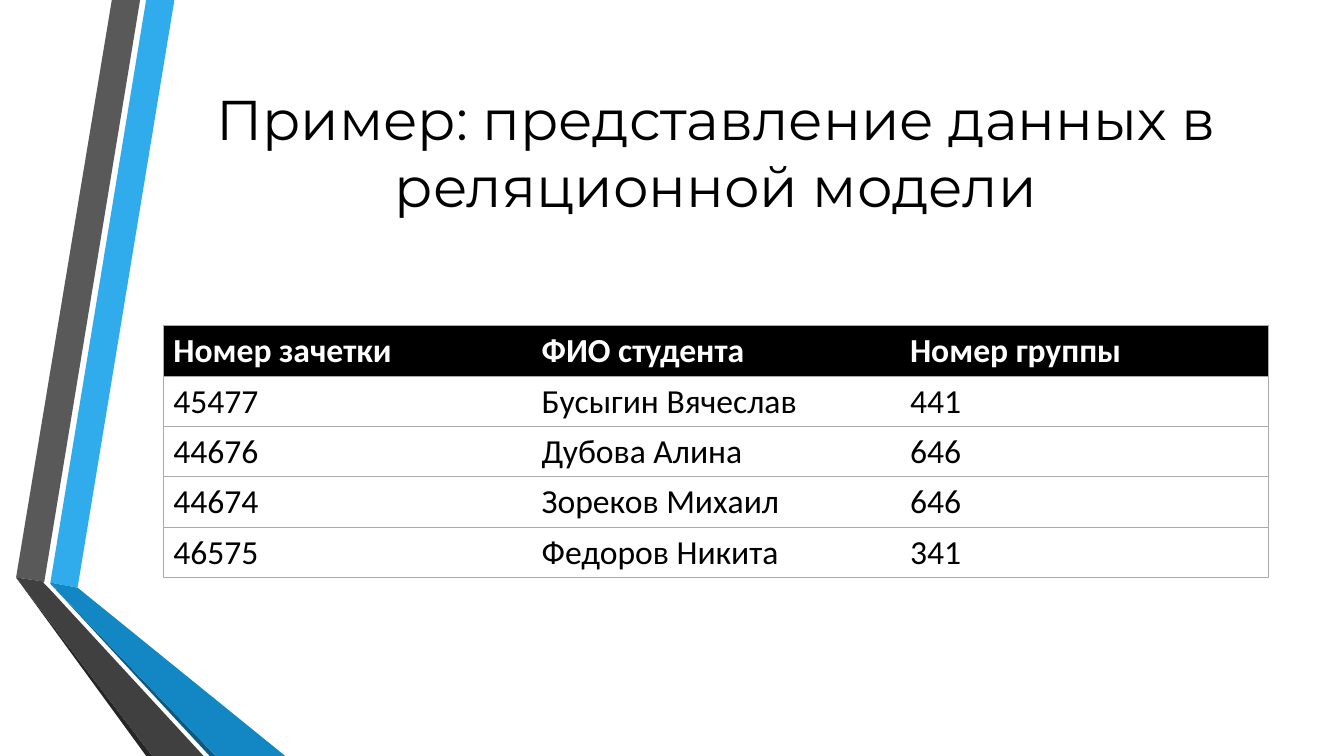
import dataclasses

import lxml.etree
import pptx
import pptx.dml.color
import pptx.enum.text
import pptx.oxml.ns
import pptx.util


@dataclasses.dataclass(frozen=True)
class Theme:
    background: str = "FFFFFF"
    text: str = "000000"
    header_fill: str = "000000"
    header_text: str = "FFFFFF"
    cell_fill: str = "FFFFFF"
    border: str = "ABABAB"
    blue: str = "30ACEC"
    blue_fold: str = "1287C3"
    blue_edge: str = "0C5A82"
    gray: str = "595959"
    gray_fold: str = "404040"
    gray_edge: str = "262626"
    title_font: str = "Montserrat"
    table_font: str = "Calibri"
    title_size: int = 40
    table_size: int = 24
    border_width: float = 0.75


@dataclasses.dataclass(frozen=True)
class Box:
    left: int
    top: int
    width: int
    height: int


THEME = Theme()
SLIDE_WIDTH = pptx.util.Inches(13.33)
SLIDE_HEIGHT = pptx.util.Inches(7.5)

RIBBON_GRID = (283, 750)
RIBBON_FACES = [
    (THEME.blue, [(50, 578), (77, 583), (173, 0), (145, 0)]),
    (THEME.gray, [(139, 0), (111, 0), (16, 573), (44, 577)]),
    (THEME.gray_edge, [(16, 573), (145, 750), (151, 750)]),
    (THEME.blue_edge, [(50, 579), (208, 750), (214, 750)]),
    (THEME.blue_fold, [(50, 579), (214, 750), (283, 750), (77, 583), (50, 578)]),
    (THEME.gray_fold, [(202, 750), (48, 583), (43, 578), (44, 577), (16, 573), (151, 750)]),
]

TITLE = "Пример: представление данных в реляционной модели"
STUDENTS = [
    ("Номер зачетки", "ФИО студента", "Номер группы"),
    ("45477", "Бусыгин Вячеслав", "441"),
    ("44676", "Дубова Алина", "646"),
    ("44674", "Зореков Михаил", "646"),
    ("46575", "Федоров Никита", "341"),
]


def percent_box(left, top, width, height):
    return Box(
        round(SLIDE_WIDTH * left / 100),
        round(SLIDE_HEIGHT * top / 100),
        round(SLIDE_WIDTH * width / 100),
        round(SLIDE_HEIGHT * height / 100),
    )


def color(value):
    return pptx.dml.color.RGBColor.from_string(value)


def format_text(paragraph, font_name, size, text_color, bold=False):
    for run in paragraph.runs:
        run.font.name = font_name
        run.font.size = pptx.util.Pt(size)
        run.font.bold = bold
        run.font.color.rgb = color(text_color)


def set_border(cell, side, visible):
    properties = cell._tc.get_or_add_tcPr()
    line = lxml.etree.SubElement(properties, pptx.oxml.ns.qn(f"a:ln{side}"))
    line.set("w", str(pptx.util.Pt(THEME.border_width)))
    if visible:
        fill = lxml.etree.SubElement(line, pptx.oxml.ns.qn("a:solidFill"))
        lxml.etree.SubElement(fill, pptx.oxml.ns.qn("a:srgbClr")).set("val", THEME.border)
    else:
        lxml.etree.SubElement(line, pptx.oxml.ns.qn("a:noFill"))


def add_ribbon(slide, box):
    columns, rows = RIBBON_GRID
    scale = (box.width / columns, box.height / rows)
    for fill_color, points in RIBBON_FACES:
        builder = slide.shapes.build_freeform(*points[0], scale=scale)
        builder.add_line_segments(points[1:], close=True)
        face = builder.convert_to_shape(box.left, box.top)
        face.shadow.inherit = False
        face.fill.solid()
        face.fill.fore_color.rgb = color(fill_color)
        face.line.fill.background()


def add_title(slide, box):
    shape = slide.shapes.add_textbox(box.left, box.top, box.width, box.height)
    frame = shape.text_frame
    frame.word_wrap = True
    frame.vertical_anchor = pptx.enum.text.MSO_ANCHOR.MIDDLE
    frame.text = TITLE
    paragraph = frame.paragraphs[0]
    paragraph.alignment = pptx.enum.text.PP_ALIGN.CENTER
    format_text(paragraph, THEME.title_font, THEME.title_size, THEME.text)


def add_student_table(slide, box):
    row_count, column_count = len(STUDENTS), len(STUDENTS[0])
    table = slide.shapes.add_table(
        row_count, column_count, box.left, box.top, box.width, box.height
    ).table
    table.horz_banding = False
    for row_index, student in enumerate(STUDENTS):
        is_header = row_index == 0
        for column_index, value in enumerate(student):
            cell = table.cell(row_index, column_index)
            set_border(cell, "L", column_index == 0)
            set_border(cell, "R", column_index == column_count - 1)
            set_border(cell, "T", True)
            set_border(cell, "B", True)
            cell.fill.solid()
            cell.fill.fore_color.rgb = color(THEME.header_fill if is_header else THEME.cell_fill)
            cell.text_frame.text = value
            format_text(
                cell.text_frame.paragraphs[0],
                THEME.table_font,
                THEME.table_size,
                THEME.header_text if is_header else THEME.text,
                bold=is_header,
            )


def main():
    presentation = pptx.Presentation()
    presentation.slide_width = SLIDE_WIDTH
    presentation.slide_height = SLIDE_HEIGHT
    slide = presentation.slides.add_slide(presentation.slide_layouts[6])
    slide.background.fill.solid()
    slide.background.fill.fore_color.rgb = color(THEME.background)
    add_ribbon(slide, percent_box(0, 0, 21.23, 100))
    add_title(slide, percent_box(12.15, 7.2, 82.22, 25.6))
    add_student_table(slide, percent_box(12.15, 43.07, 82.22, 33.33))
    presentation.save("out.pptx")


if __name__ == "__main__":
    main()
